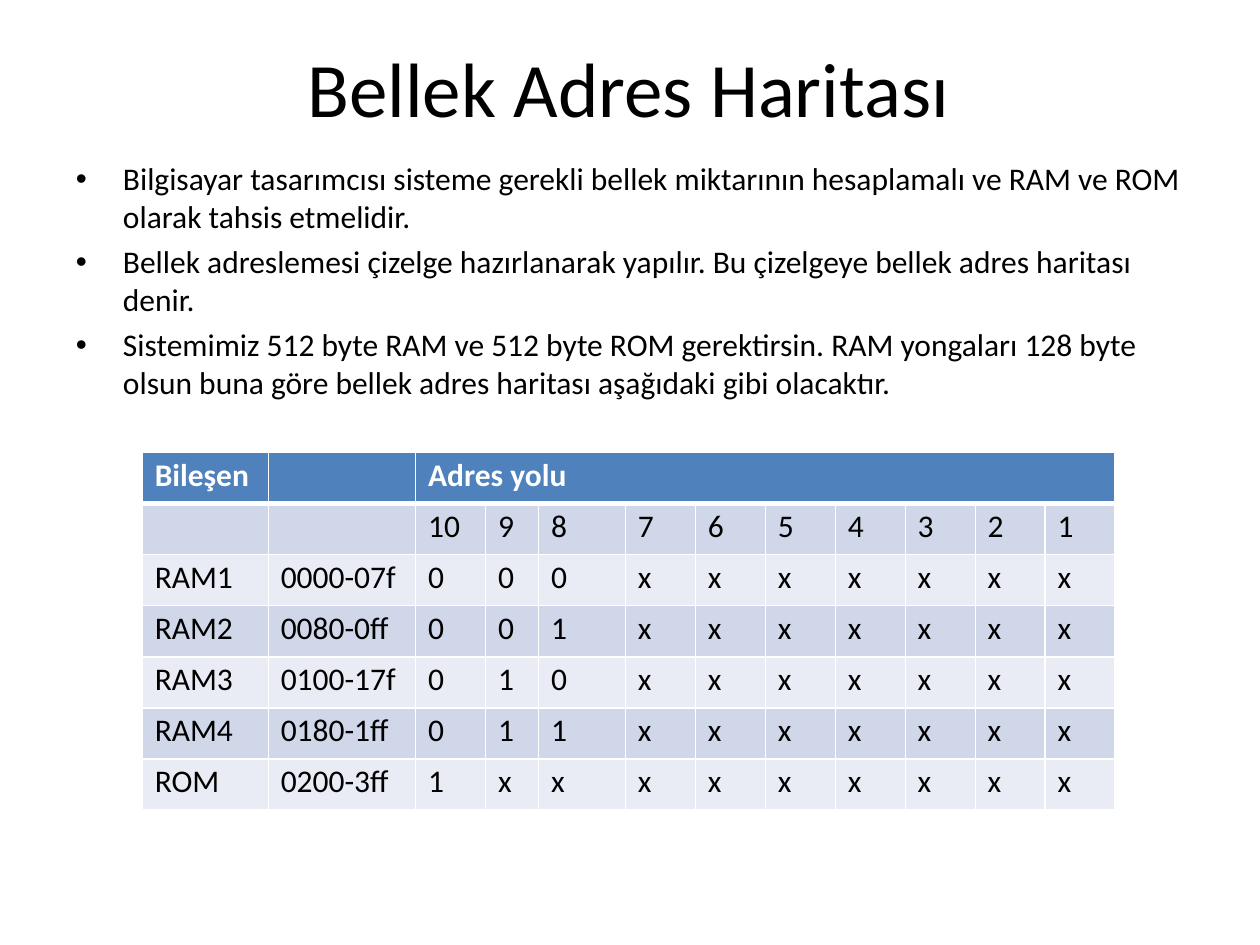
from lxml.etree import SubElement
from pptx import Presentation
from pptx.dml.color import RGBColor
from pptx.enum.text import MSO_ANCHOR, MSO_AUTO_SIZE, PP_ALIGN
from pptx.oxml.ns import qn
from pptx.util import Cm, Pt

TITLE = "Bellek Adres Haritası"
BODY = [
    ("Bilgisayar tasarımcısı sisteme gerekli bellek miktarının hesaplamalı ve RAM ve ROM "
     "olarak tahsis etmelidir.", True, 1),
    ("Bellek adreslemesi çizelge hazırlanarak yapılır. Bu çizelgeye bellek adres haritası denir.",
     True, 4.3),
    ("Sistemimiz 512 byte RAM ve 512 byte ROM gerektirsin. RAM yongaları 128 byte", True, 4.3),
    ("olsun buna göre bellek adres haritası aşağıdaki gibi olacaktır.", False, 0),
]
HEADER = ["Bileşen", "", "Adres yolu"] + [""] * 9
BITS = ["", ""] + [str(bit) for bit in range(10, 0, -1)]
CHIPS = [
    ("RAM1", "0000-07f", "000"),
    ("RAM2", "0080-0ff", "001"),
    ("RAM3", "0100-17f", "010"),
    ("RAM4", "0180-1ff", "011"),
    ("ROM", "0200-3ff", "1"),
]
ROWS = [HEADER, BITS] + [[name, span, *bits.ljust(10, "x")] for name, span, bits in CHIPS]
COLUMN_WIDTHS = [2.54, 2.97, 1.41, 1.07, 1.75] + [1.41] * 7
ROW_HEIGHT = 1.03
COLORS = {"text": "000000", "header": "4F81BC", "header_text": "FFFFFF",
          "dark_band": "D0D7E8", "light_band": "E9ECF4", "border": "FFFFFF"}


def color(name):
    return RGBColor.from_string(COLORS[name])


def set_font(paragraph, size, name="text", bold=False):
    font = paragraph.font
    font.name, font.size, font.bold = "Calibri", Pt(size), bold
    font.color.rgb = color(name)


def set_frame(frame):
    frame.word_wrap = True
    frame.auto_size = MSO_AUTO_SIZE.SHAPE_TO_FIT_TEXT
    frame.vertical_anchor = MSO_ANCHOR.TOP
    frame.margin_left = frame.margin_right = frame.margin_bottom = 0
    frame.margin_top = Cm(0.03)


def set_indent(paragraph, left, first=0):
    properties = paragraph._p.get_or_add_pPr()
    properties.set("marL", str(Cm(left)))
    properties.set("indent", str(Cm(first)))
    return properties


def add_title(page):
    title = page.shapes.title
    title.left, title.top, title.width, title.height = Cm(6.2), Cm(0.79), Cm(13.03), Cm(1.93)
    set_frame(title.text_frame)
    paragraph = title.text_frame.paragraphs[0]
    paragraph.text = TITLE
    paragraph.alignment = PP_ALIGN.LEFT
    paragraph.space_before = Pt(1)
    set_font(paragraph, 44)


def add_body(page):
    frame = page.shapes.add_textbox(Cm(1.5), Cm(3.18), Cm(22.38), Cm(4.95)).text_frame
    set_frame(frame)
    for index, (text, bulleted, space) in enumerate(BODY):
        paragraph = frame.add_paragraph() if index else frame.paragraphs[0]
        paragraph.text = text
        paragraph.space_before = Pt(space)
        set_font(paragraph, 18)
        properties = set_indent(paragraph, 0.98, -0.95 if bulleted else 0)
        if bulleted:
            bullet_font = properties.makeelement(qn("a:buFont"), {"typeface": "Arial"})
            bullet = properties.makeelement(qn("a:buChar"), {"char": "•"})
            properties.find(qn("a:defRPr")).addprevious(bullet_font)
            bullet_font.addnext(bullet)


def set_borders(cell, top, bottom):
    properties = cell._tc.get_or_add_tcPr()
    for side, width in (("L", 1), ("R", 1), ("T", top), ("B", bottom)):
        line = SubElement(properties, qn(f"a:ln{side}"), w=str(Pt(width)))
        fill = SubElement(line, qn("a:solidFill"))
        SubElement(fill, qn("a:srgbClr"), val=COLORS["border"])


def fill_cell(cell, text, row):
    is_header = row == 0
    set_borders(cell, 3 if row == 1 else 1, 3 if is_header else 1)
    cell.fill.solid()
    cell.fill.fore_color.rgb = color(
        "header" if is_header else "dark_band" if row % 2 else "light_band")
    cell.margin_left = cell.margin_right = cell.margin_bottom = 0
    cell.margin_top = Cm(0.08)
    paragraph = cell.text_frame.paragraphs[0]
    paragraph.text = text
    paragraph.space_before = Pt(2.5)
    set_indent(paragraph, 0.25)
    set_font(paragraph, 18, "header_text" if is_header else "text", is_header)


def add_address_table(page):
    table = page.shapes.add_table(
        len(ROWS), len(COLUMN_WIDTHS), Cm(2.87), Cm(9.12),
        Cm(sum(COLUMN_WIDTHS)), Cm(ROW_HEIGHT * len(ROWS))).table
    for column, width in zip(table.columns, COLUMN_WIDTHS):
        column.width = Cm(width)
    for row, texts in enumerate(ROWS):
        table.rows[row].height = Cm(ROW_HEIGHT)
        for column, text in enumerate(texts):
            fill_cell(table.cell(row, column), text, row)
    table.cell(0, 2).merge(table.cell(0, len(COLUMN_WIDTHS) - 1))


def main():
    """Build the memory address map slide."""
    deck = Presentation()
    deck.slide_width, deck.slide_height = Cm(25.4), Cm(19.05)
    page = deck.slides.add_slide(deck.slide_layouts[5])
    add_title(page)
    add_body(page)
    add_address_table(page)
    deck.save("out.pptx")


if __name__ == "__main__":
    main()
